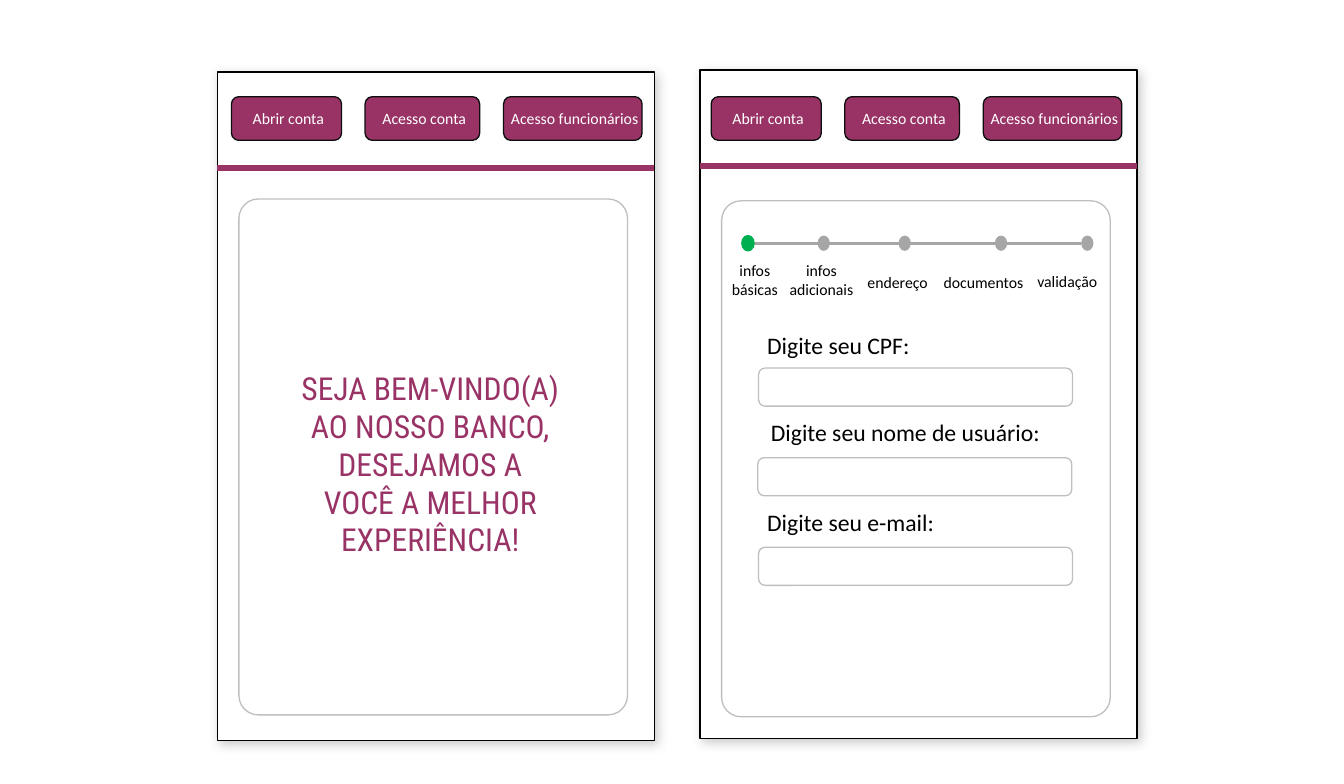
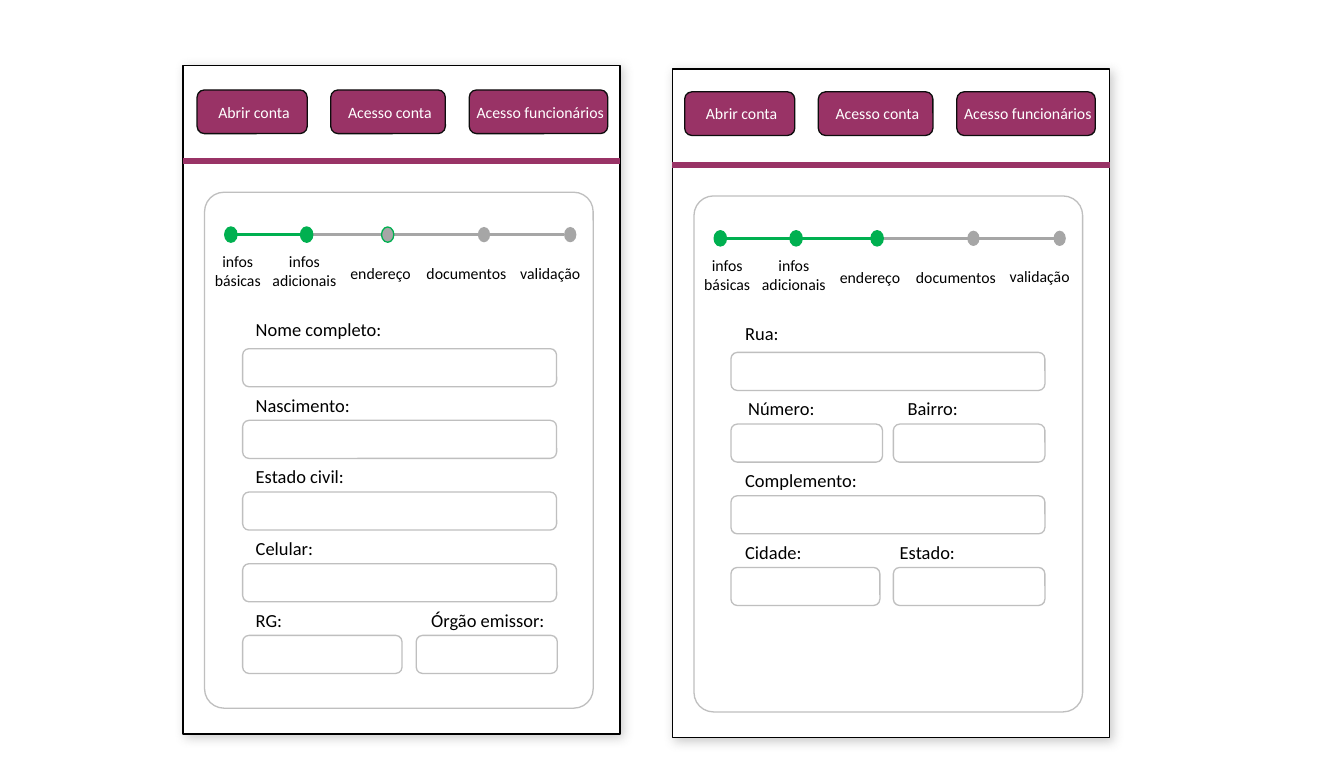
from dataclasses import dataclass

from lxml import etree
from pptx import Presentation
from pptx import util as u
from pptx.dml.color import RGBColor
from pptx.enum import shapes, text
from pptx.oxml import ns


@dataclass(frozen=True)
class Theme:
    """Colours, fonts and type sizes of every screen."""
    brand: str = "993366"
    edge: str = "0D0D0D"
    ink: str = "000000"
    paper: str = "FFFFFF"
    frame: str = "BFBFBF"
    done: str = "00B050"
    todo: str = "A6A6A6"
    shade: str = "808080"
    body: str = "Calibri"
    head: str = "Roboto Condensed"
    small: int = 12
    label: int = 14
    large: int = 18
    hero: int = 24


look = Theme()
kind = shapes.MSO_SHAPE
mid, left = text.PP_ALIGN.CENTER, text.PP_ALIGN.LEFT


def put(group, form, box, fill=None, line=None, words="", color=look.ink,
        size=look.small, font=look.body, align=mid, frame=None):
    """Add a shape, or a text box when form is None; box is in cm."""
    spot = [u.Cm(n) for n in box]
    if form is None:
        item = group.shapes.add_textbox(*spot)
    else:
        item = group.shapes.add_shape(form, *spot)
        item.shadow.inherit = False
        if fill:
            item.fill.solid()
            item.fill.fore_color.rgb = RGBColor.from_string(fill)
        else:
            item.fill.background()
        if line:
            item.line.color.rgb = RGBColor.from_string(line)
            item.line.width = u.Pt(1)
        else:
            item.line.fill.background()
    if words:
        for name, value in {"word_wrap": True, **(frame or {})}.items():
            setattr(item.text_frame, name, value)
        para = item.text_frame.paragraphs[0]
        para.alignment = align
        run = para.add_run()
        run.text = words
        for name, value in {"name": font, "size": u.Pt(size)}.items():
            setattr(run.font, name, value)
        run.font.color.rgb = RGBColor.from_string(color)
    return item


def rule(group, start, end, y, color, width):
    """Add a level line without a shadow; lengths are in cm."""
    item = group.shapes.add_connector(
        shapes.MSO_CONNECTOR.STRAIGHT,
        u.Cm(start), u.Cm(y), u.Cm(end), u.Cm(y))
    item.line.color.rgb = RGBColor.from_string(color)
    item.line.width = u.Pt(width)
    etree.SubElement(item._element.spPr, ns.qn("a:effectLst"))


# Parts shared by the screens, in cm from the left edge of a screen
WIDE, TALL = 11.71, 17.91
NAV = [("Abrir conta", 0, 2.95), ("Acesso conta", 3.58, 3.07),
       ("Acesso funcionários", 7.29, 3.71)]
BUTTON = {"margin_left": u.Cm(0.1), "margin_right": 0,
          "vertical_anchor": text.MSO_ANCHOR.MIDDLE}
DOT_W, DOT_H = 0.33, 0.41
# Step name, dot left, label left, label width, label top
STEPS = [("infos básicas", 1.12, 0.48, 1.98, 4.88),
         ("infos adicionais", 3.15, 1.91, 2.69, 4.88),
         ("endereço", 5.32, 3.86, 2.87, 5.2),
         ("documentos", 7.9, 6.25, 2.69, 5.2),
         ("validação", 10.21, 8.33, 3.02, 5.18)]
FULL = 8.41

# Rows of fields: label, label left, box left, box width
access = [[("Digite seu CPF:", 1.55, 1.57, FULL)],
          [("Digite seu nome de usuário:", 1.65, 1.55, FULL)],
          [("Digite seu e-mail:", 1.55, 1.57, FULL)]]
person = [[(name, 1.7, 1.6, FULL)] for name in
          ("Nome completo:", "Nascimento:", "Estado civil:", "Celular:")]
person.append([("RG:", 1.7, 1.6, 4.27),
               ("Órgão emissor:", 6.4, 6.25, 3.78)])
address = [[("Rua:", 1.7, 1.57, FULL)],
           [("Número:", 1.78, 1.57, 4.06), ("Bairro:", 6.05, 5.92, 4.06)],
           [("Complemento:", 1.7, 1.57, FULL)],
           [("Cidade:", 1.7, 1.57, 3.99), ("Estado:", 5.84, 5.92, 4.06)]]

# at: screen corner, nav: first button, drop: extra space above the steps,
# ring: outlined step, grid: first field top, row step, label rise, first rise
plain = {"drop": 0, "done": 0, "ring": None, "rows": [], "hello": "",
         "size": look.label, "grid": (7.59, 1.92, 0.84, 0.94)}
decks = [
    [{**plain, "at": (5.82, 1.93), "nav": (0.38, 0.66),
      "hello": "SEJA BEM-VINDO(A) AO NOSSO BANCO, "
               "DESEJAMOS A VOCÊ A MELHOR EXPERIÊNCIA!"},
     {**plain, "at": (18.75, 1.88), "nav": (0.3, 0.71), "drop": 0.1,
      "done": 1, "rows": access, "size": look.large,
      "grid": (7.98, 2.4, 1.18, 1.13)}],
    [{**plain, "at": (4.9, 1.75), "nav": (0.38, 0.66),
      "done": 2, "ring": 2, "rows": person},
     {**plain, "at": (18.01, 1.85), "nav": (0.33, 0.61),
      "done": 3, "rows": address}],
]

deck = Presentation()
deck.slide_width, deck.slide_height = u.Cm(36), u.Cm(21)

for screens in decks:
    slide = deck.slides.add_slide(deck.slide_layouts[6])
    for screen in screens:
        x, y = screen["at"]
        group = slide.shapes.add_group_shape()

        # Page with its soft shadow
        page = put(group, kind.RECTANGLE, (x, y, WIDE, TALL),
                   look.paper, look.ink)
        glow = page._element.spPr.find(ns.qn("a:effectLst"))
        cast = etree.SubElement(
            glow, ns.qn("a:outerShdw"), blurRad=str(u.Pt(8)),
            dist=str(u.Pt(3)), dir="2700000", algn="tl", rotWithShape="0")
        tint = etree.SubElement(cast, ns.qn("a:srgbClr"), val=look.shade)
        etree.SubElement(tint, ns.qn("a:alpha"), val="40000")

        # Top menu
        across, down = screen["nav"]
        for name, shift, width in NAV:
            put(group, kind.ROUNDED_RECTANGLE,
                (x + across + shift, y + down, width, 1.17),
                look.brand, look.edge, name, look.paper, frame=BUTTON)
        rule(group, x, x + WIDE, y + 2.57, look.brand, 4.5)

        # Card
        top = y + screen["drop"]
        card = put(group, kind.ROUNDED_RECTANGLE,
                   (x + 0.58, top + 3.4, 10.41, 13.82), line=look.frame)
        card.adjustments[0] = 0.05
        if screen["hello"]:
            put(group, None, (x + 1.96, y + 7.82, 7.49, 4.37),
                words=screen["hello"], color=look.brand,
                size=look.hero, font=look.head)

        # Progress track
        done = screen["done"]
        if done:
            first, last = STEPS[0][1], STEPS[-1][1]
            track = top + 4.33 + DOT_H / 2
            rule(group, x + first + DOT_W, x + last, track, look.todo, 2.25)
            if done > 1:
                rule(group, x + first, x + STEPS[done - 1][1], track,
                     look.done, 2.25)
            for i, (name, dot, start, width, fall) in enumerate(STEPS):
                fill = look.done if i < done else look.todo
                line = look.done if i < done or i == screen["ring"] else None
                put(group, kind.OVAL, (x + dot, top + 4.33, DOT_W, DOT_H),
                    fill, line)
                put(group, None,
                    (x + start, top + fall, width, 1.27 if i < 2 else 0.76),
                    words=name)

        # Form fields
        begin, step, rise, lead = screen["grid"]
        for i, row in enumerate(screen["rows"]):
            fall = y + begin + i * step
            for name, start, edge, width in row:
                put(group, None,
                    (x + start, fall - (rise if i else lead), width, 0.86),
                    words=name, size=screen["size"], align=left)
                put(group, kind.ROUNDED_RECTANGLE,
                    (x + edge, fall, width, 1.02), look.paper, look.frame)

deck.save("out.pptx")
